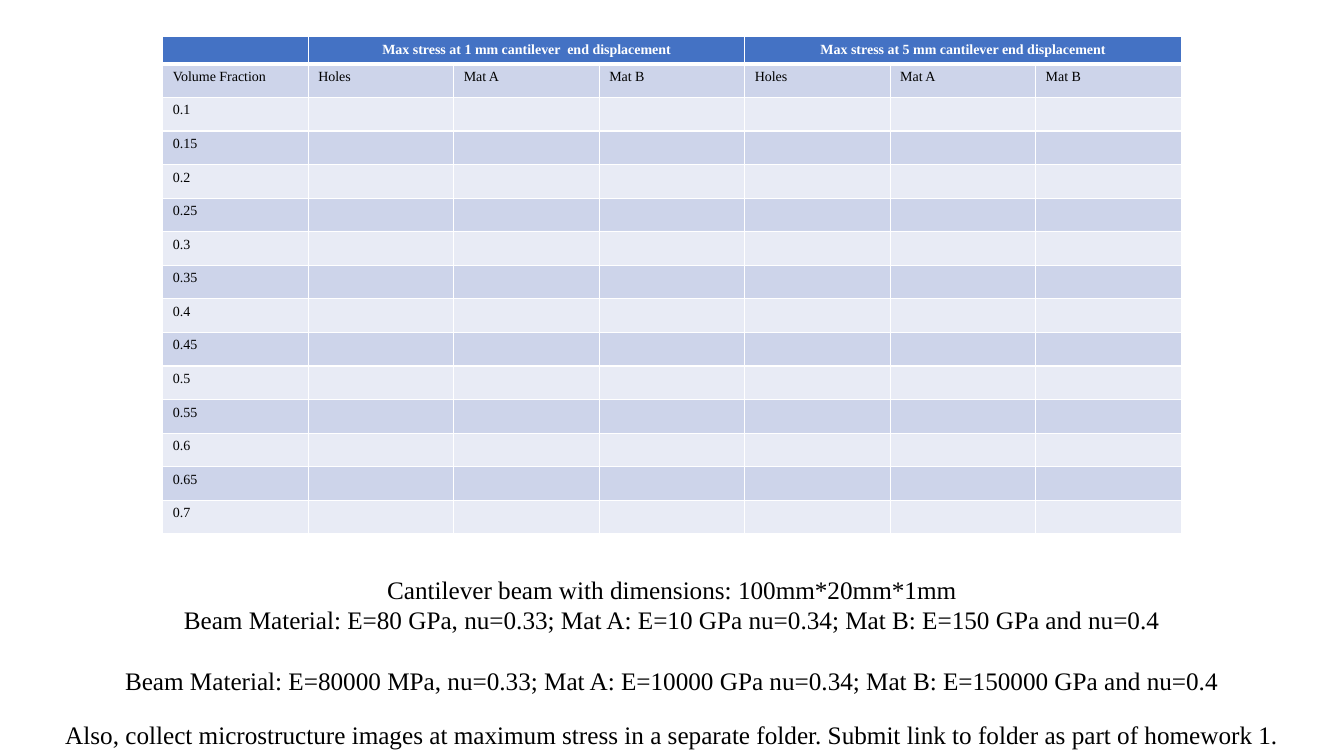
from lxml.etree import SubElement
from pptx import Presentation
from pptx.dml.color import RGBColor
from pptx.enum.text import MSO_AUTO_SIZE as AutoSize, PP_ALIGN as Align
from pptx.oxml.ns import qn
from pptx.util import Emu, Pt

PX = 9525
FONT = "Times New Roman"
BLACK, WHITE, HEADER = "000000", "FFFFFF", "4472C4"
BANDS = ("CDD4EA", "E8EBF5")
HEADER_HEIGHT, ROW_HEIGHT = 24, 32
TABLE_BOX = (155, 35, 970, 472)
NOTES_BOX = (44, 542, 1192, 178)

GROUPS = (
    "Max stress at 1 mm cantilever  end displacement",
    "Max stress at 5 mm cantilever end displacement",
)
MATERIALS = ["Holes", "Mat A", "Mat B"]
FRACTIONS = [f"{step / 20:g}" for step in range(2, 15)]
NOTES = (
    ("Cantilever beam with dimensions: 100mm*20mm*1mm", 0),
    ("Beam Material: E=80 GPa, nu=0.33; Mat A: E=10 GPa nu=0.34; Mat B: E=150 GPa and nu=0.4", 0),
    ("Beam Material: E=80000 MPa, nu=0.33; Mat A: E=10000 GPa nu=0.34; Mat B: E=150000 GPa and nu=0.4", 22),
    ("Also, collect microstructure images at maximum stress in a separate folder. "
     "Submit link to folder as part of homework 1.", 17),
)


def px(length):
    return Emu(round(length * PX))


def color(value):
    return RGBColor.from_string(value)


def write(paragraph, text, ink, **formats):
    run = paragraph.add_run()
    run.text = text
    run.font.color.rgb = color(ink)
    for name, value in {"name": FONT, **formats}.items():
        setattr(run.font, name, value)


def add_borders(cell, bottom):
    properties = cell._tc.get_or_add_tcPr()
    for side, width in (("L", 1), ("R", 1), ("T", 1), ("B", bottom)):
        line = SubElement(properties, qn(f"a:ln{side}"), w=str(Pt(width)))
        fill = SubElement(line, qn("a:solidFill"))
        SubElement(fill, qn("a:srgbClr"), val=WHITE)


def format_cell(cell, text, is_header, background):
    add_borders(cell, 3 if is_header else 1)
    cell.fill.solid()
    cell.fill.fore_color.rgb = color(background)
    paragraph = cell.text_frame.paragraphs[0]
    if is_header:
        paragraph.alignment = Align.CENTER
    if text:
        write(paragraph, text, WHITE if is_header else BLACK, size=Pt(10), bold=is_header)
    else:
        paragraph._p.get_or_add_endParaRPr().set("sz", "1000")


def add_stress_table(slide, box):
    span = len(MATERIALS)
    header = [""]
    for group in GROUPS:
        header += [group] + [""] * (span - 1)
    column_count = len(header)
    rows = [header, ["Volume Fraction"] + MATERIALS * len(GROUPS)]
    rows += [[fraction] + [""] * (column_count - 1) for fraction in FRACTIONS]

    table = slide.shapes.add_table(len(rows), column_count, *map(px, box)).table
    table.first_row = table.horz_banding = False
    for column in table.columns:
        column.width = px(box[2] / column_count)
    for index, texts in enumerate(rows):
        is_header = index == 0
        table.rows[index].height = px(HEADER_HEIGHT if is_header else ROW_HEIGHT)
        background = HEADER if is_header else BANDS[(index - 1) % 2]
        for column, text in enumerate(texts):
            format_cell(table.cell(index, column), text, is_header, background)
    for start in range(1, column_count, span):
        table.cell(0, start).merge(table.cell(0, start + span - 1))


def add_notes(slide, box):
    frame = slide.shapes.add_textbox(*map(px, box)).text_frame
    frame.word_wrap = True
    frame.auto_size = AutoSize.SHAPE_TO_FIT_TEXT
    for index, (text, gap) in enumerate(NOTES):
        paragraph = frame.add_paragraph() if index else frame.paragraphs[0]
        paragraph.alignment = Align.CENTER
        paragraph.space_before = Pt(gap)
        write(paragraph, text, BLACK, size=Pt(18))


def main():
    presentation = Presentation()
    presentation.slide_width, presentation.slide_height = px(1280), px(720)
    slide = presentation.slides.add_slide(presentation.slide_layouts[6])
    add_stress_table(slide, TABLE_BOX)
    add_notes(slide, NOTES_BOX)
    presentation.save("out.pptx")


if __name__ == "__main__":
    main()
